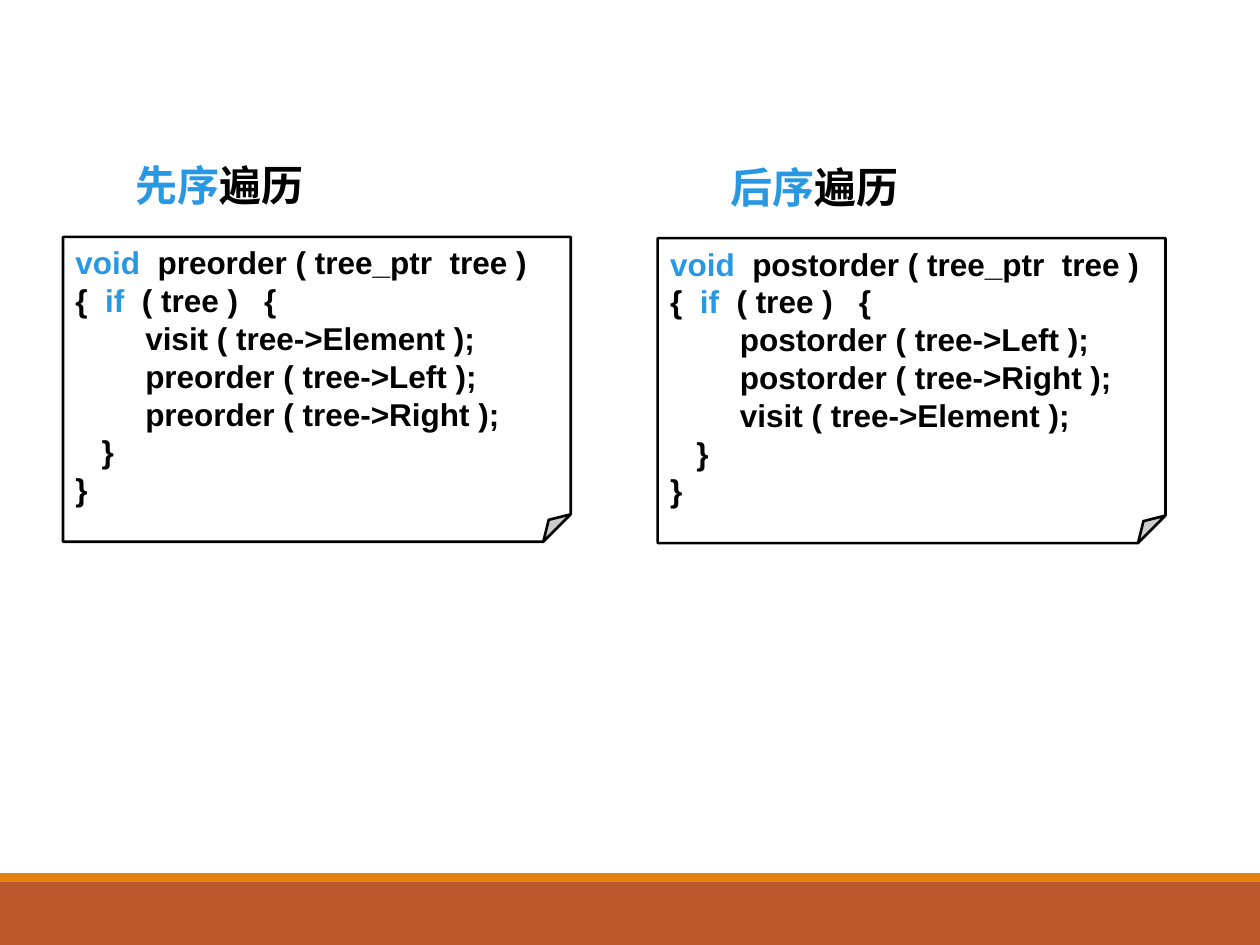
from dataclasses import dataclass

from lxml.etree import SubElement
from pptx import Presentation
from pptx.dml.color import RGBColor
from pptx.enum.shapes import MSO_SHAPE
from pptx.enum.text import MSO_ANCHOR, PP_ALIGN
from pptx.oxml.ns import qn
from pptx.util import Inches, Pt


@dataclass(frozen=True)
class Theme:
    ink: RGBColor = RGBColor(0x00, 0x00, 0x00)
    keyword: RGBColor = RGBColor(0x29, 0x98, 0xE3)
    paper: RGBColor = RGBColor(0xFF, 0xFF, 0xFF)
    band: RGBColor = RGBColor(0xBD, 0x58, 0x2C)
    stripe: RGBColor = RGBColor(0xE4, 0x83, 0x12)
    heading_font: str = "Times New Roman"
    code_font: str = "Arial"
    heading_size: Pt = Pt(24)
    code_size: Pt = Pt(18)


theme = Theme()
KEYWORDS = ("void", "if")


def add_panel(shapes, preset, box, fill):
    s = shapes.add_shape(preset, *map(Inches, box))
    s.shadow.inherit = False
    s.fill.solid()
    s.fill.fore_color.rgb = fill
    s.line.fill.background()
    return s


def add_runs(p, parts, name, size):
    """Write (text, highlighted) parts as bold runs."""
    p.alignment = PP_ALIGN.LEFT
    for text, highlighted in parts:
        r = p.add_run()
        r.text = text
        for key, value in {"name": name, "size": size, "bold": True}.items():
            setattr(r.font, key, value)
        r.font.color.rgb = theme.keyword if highlighted else theme.ink


prs = Presentation()
prs.slide_width, prs.slide_height = Inches(10), Inches(7.5)
shapes = prs.slides.add_slide(prs.slide_layouts[6]).shapes

add_panel(shapes, MSO_SHAPE.RECTANGLE, (0, 7, 10, 0.5), theme.band)
add_panel(shapes, MSO_SHAPE.RECTANGLE, (0, 6.93, 10, 0.07), theme.stripe)

VISIT = "visit ( tree->Element );"
# left, top, order, function name, body of the function
traversals = [
    (0.5, 1.88, "先序", "preorder",
     [VISIT, "preorder ( tree->Left );", "preorder ( tree->Right );"]),
    (5.22, 1.89, "后序", "postorder",
     ["postorder ( tree->Left );", "postorder ( tree->Right );", VISIT]),
]

for left, top, order, function, body in traversals:
    note = add_panel(shapes, MSO_SHAPE.FOLDED_CORNER, (left, top, 4.03, 2.42), theme.paper)
    # python-pptx lists no adjustment for this preset, so the fold size is set in XML
    guides = next(note.element.iter(qn("a:avLst")))
    SubElement(guides, qn("a:gd"), name="adj", fmla="val 9000")
    note.line.color.rgb = theme.ink
    note.line.width = Pt(1.5)
    tf = note.text_frame
    tf.word_wrap = True
    tf.vertical_anchor = MSO_ANCHOR.MIDDLE

    code = [
        ["void", f"  {function} ( tree_ptr  tree )"],
        ["{  ", "if", "  ( tree )   {"],
        *([" " * 8 + statement] for statement in body),
        ["   }"],
        ["}"],
    ]
    for i, line in enumerate(code):
        p = tf.add_paragraph() if i else tf.paragraphs[0]
        parts = [(text, text in KEYWORDS) for text in line]
        add_runs(p, parts, theme.code_font, theme.code_size)

    heading = shapes.add_textbox(Inches(left + 0.48), Inches(top - 0.66), Inches(3.08), Inches(0.5))
    heading.text_frame.word_wrap = True
    add_runs(heading.text_frame.paragraphs[0], [(order, True), ("遍历", False)],
             theme.heading_font, theme.heading_size)

prs.save("out.pptx")
